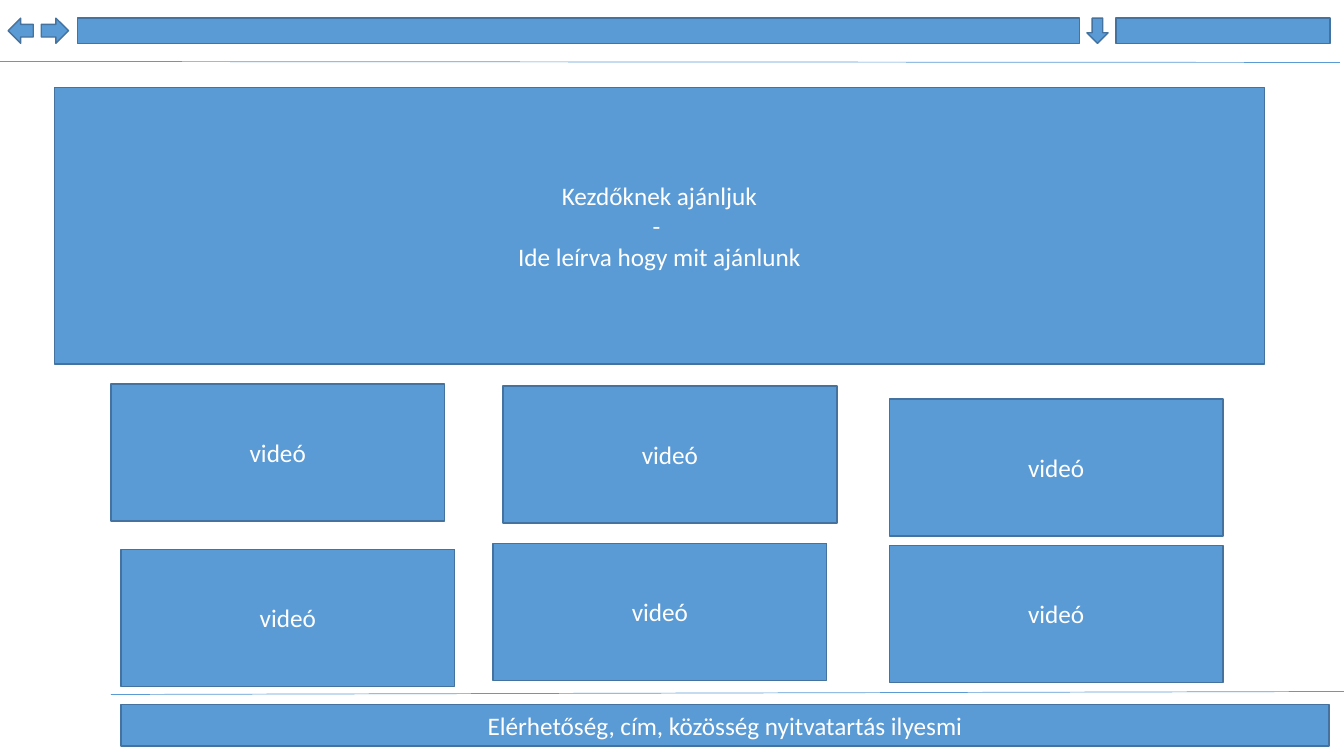
"""Build a wireframe slide of a video recommendation page."""
from dataclasses import dataclass

import pptx
import pptx.dml.color
import pptx.enum.shapes
import pptx.enum.text
import pptx.oxml
import pptx.util

Inches = pptx.util.Inches
Pt = pptx.util.Pt
Shape = pptx.enum.shapes.MSO_SHAPE


@dataclass(frozen=True)
class Theme:
    fill: str = "5B9BD5"
    outline: str = "43739E"
    text: str = "FFFFFF"
    font: str = "Calibri"
    text_size: float = 18
    outline_width: float = 1
    rule_width: float = 0.5


def color(value):
    return pptx.dml.color.RGBColor.from_string(value)


def write_text(frame, text, *, font, size, fill):
    frame.word_wrap = True
    frame.vertical_anchor = pptx.enum.text.MSO_ANCHOR.MIDDLE
    for index, line in enumerate(text.split("\n")):
        para = frame.add_paragraph() if index else frame.paragraphs[0]
        para.alignment = pptx.enum.text.PP_ALIGN.CENTER
        span = para.add_run()
        span.text = line
        span.font.name = font
        span.font.size = Pt(size)
        span.font.color.rgb = color(fill)


class Page:
    def __init__(self, slide, theme):
        self.slide = slide
        self.theme = theme

    def block(self, kind, left, top, width, height, text=""):
        box = self.slide.shapes.add_shape(
            kind, Inches(left), Inches(top), Inches(width), Inches(height))
        box.shadow.inherit = False
        box.fill.solid()
        box.fill.fore_color.rgb = color(self.theme.fill)
        box.line.color.rgb = color(self.theme.outline)
        box.line.width = Pt(self.theme.outline_width)
        if text:
            write_text(box.text_frame, text, font=self.theme.font,
                       size=self.theme.text_size, fill=self.theme.text)

    def rule(self, left, top, right, bottom):
        line = self.slide.shapes.add_connector(
            pptx.enum.shapes.MSO_CONNECTOR.STRAIGHT,
            Inches(left), Inches(top), Inches(right), Inches(bottom))
        line.line.color.rgb = color(self.theme.fill)
        line.line.width = Pt(self.theme.rule_width)
        properties = line.element.spPr
        properties.append(properties.makeelement(
            pptx.oxml.ns.qn("a:effectLst"), {}))


deck = pptx.Presentation()
deck.slide_width = Inches(13.33)
deck.slide_height = Inches(7.5)
page = Page(deck.slides.add_slide(deck.slide_layouts[6]), Theme())

toolbar_top, toolbar_height = 0.18, 0.25
toolbar = [
    (Shape.LEFT_ARROW, 0.08, 0.25),
    (Shape.RIGHT_ARROW, 0.41, 0.27),
    (Shape.RECTANGLE, 0.77, 9.94),
    (Shape.DOWN_ARROW, 10.78, 0.21),
    (Shape.RECTANGLE, 11.07, 2.12),
]
for kind, left, width in toolbar:
    page.block(kind, left, toolbar_top, width, toolbar_height)
page.rule(0, 0.61, 13.29, 0.62)

page.block(Shape.FLOWCHART_PROCESS, 0.54, 0.87, 12, 2.74,
           "Kezdőknek ajánljuk\n- \nIde leírva hogy mit ajánlunk")

video_width, video_height = 3.31, 1.36
video_corners = [
    (1.1, 3.81), (4.99, 3.83), (8.82, 3.96),
    (1.2, 5.45), (4.89, 5.39), (8.82, 5.41),
]
for left, top in video_corners:
    page.block(Shape.FLOWCHART_PROCESS, left, top,
               video_width, video_height, "videó")

page.rule(1.1, 6.89, 13.33, 6.86)
page.block(Shape.RECTANGLE, 1.2, 6.99, 11.98, 0.41,
           "Elérhetőség, cím, közösség nyitvatartás ilyesmi")

deck.save("out.pptx")
